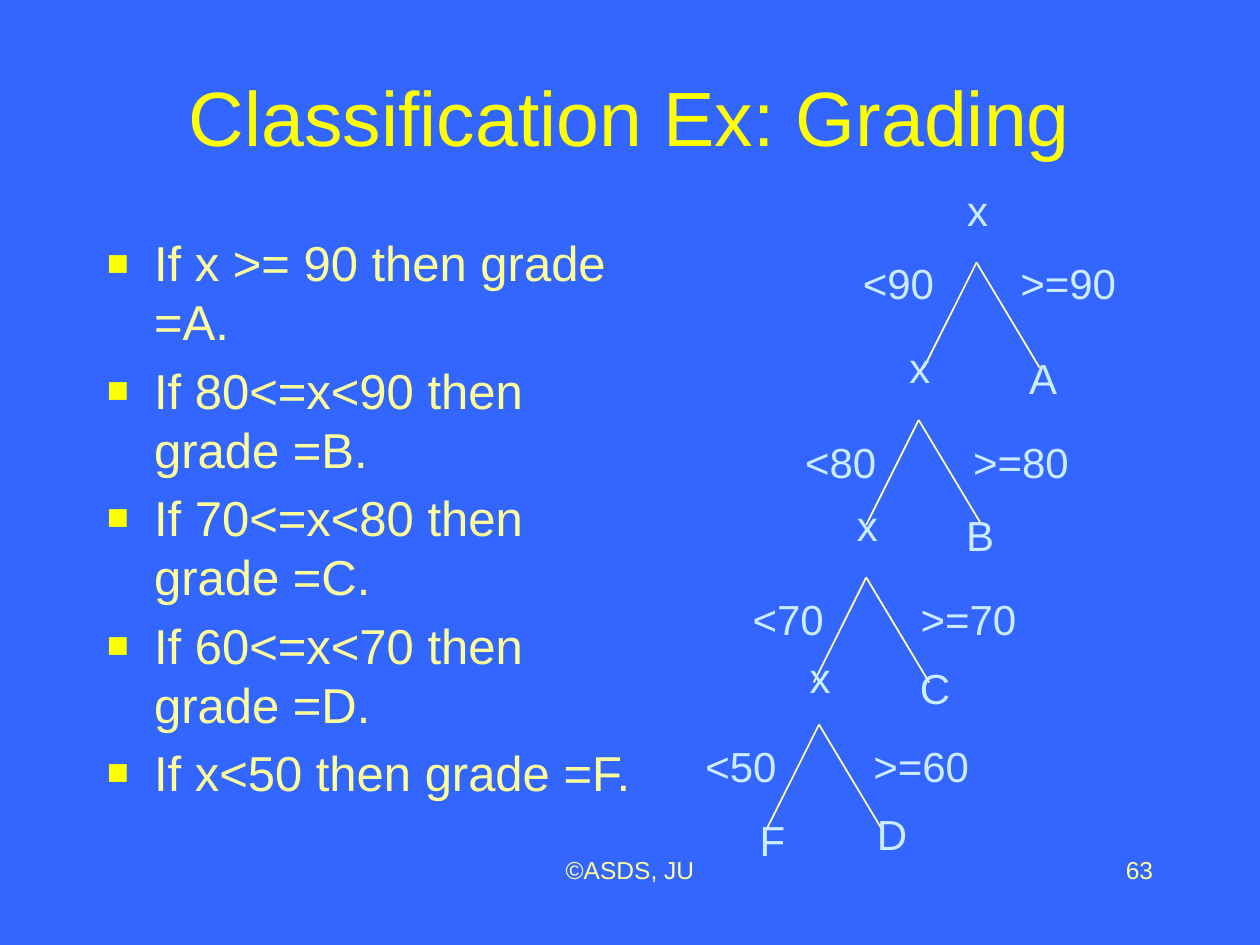
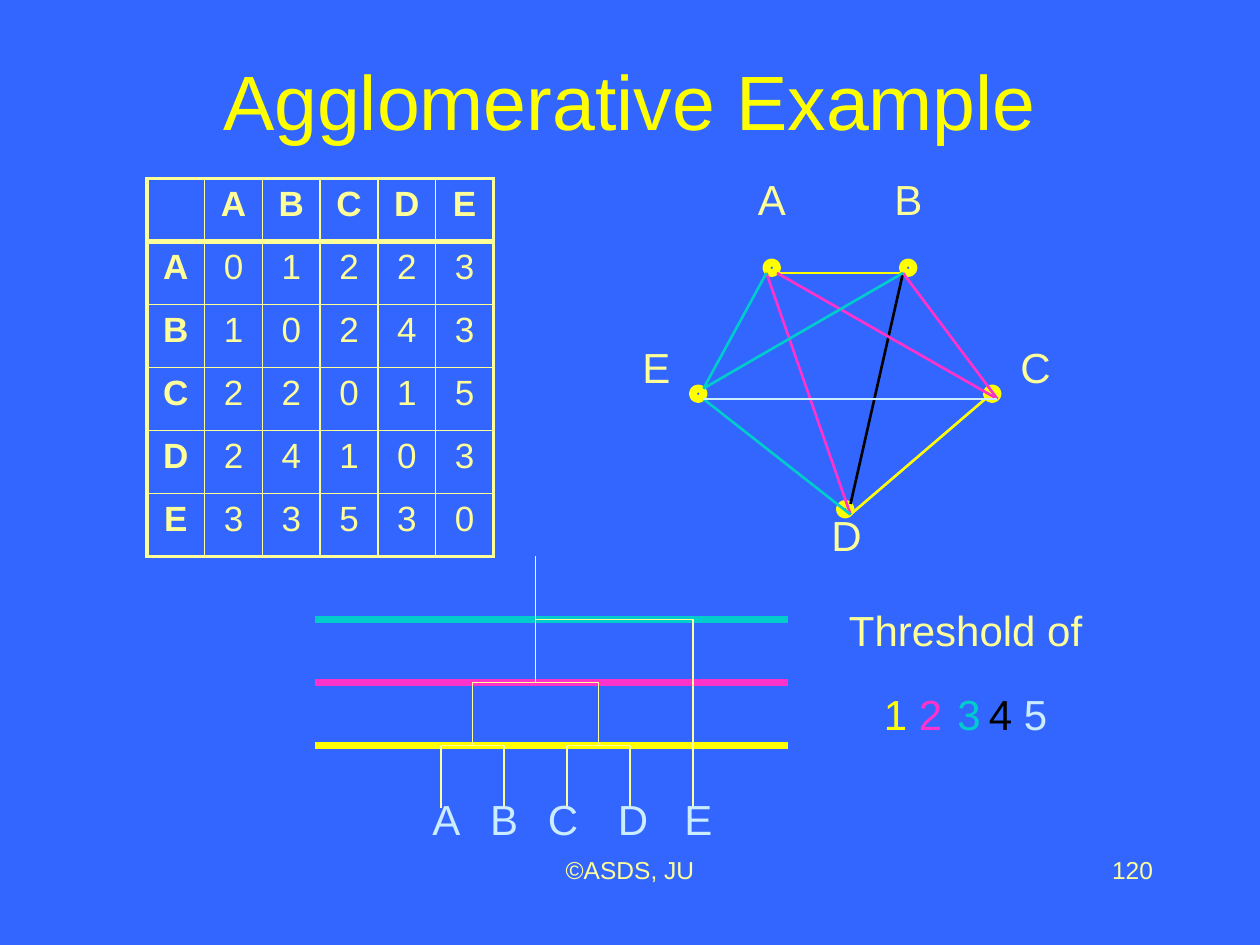
import lxml.etree
import pptx
import pptx.dml.color
import pptx.enum.shapes
import pptx.enum.text
import pptx.oxml.ns
import pptx.util

Pt = pptx.util.Pt
qn = pptx.oxml.ns.qn
ALIGN = pptx.enum.text.PP_ALIGN
ANCHOR = pptx.enum.text.MSO_ANCHOR

COLORS = {
    "background": "3366FF",
    "yellow": "FFFF00",
    "cream": "FFFF99",
    "ice": "CCECFF",
    "pink": "FF33CC",
    "teal": "00CCCC",
    "black": "000000",
}
FONT = "Arial"
TIGHT = 0.3  # line spacing of labels and footers


def rgb(color):
    return pptx.dml.color.RGBColor.from_string(COLORS[color])


def add_element(parent, tag, **attributes):
    return lxml.etree.SubElement(parent, qn(tag), attributes)


def style_paragraph(para, text, size, color, bold=False, **layout):
    for name, value in layout.items():
        setattr(para, name, value)
    span = para.add_run()
    span.text = text
    for name, value in {"name": FONT, "size": Pt(size), "bold": bold}.items():
        setattr(span.font, name, value)
    span.font.color.rgb = rgb(color)


def add_box(page, left, top, width, height, **frame_format):
    frame = page.shapes.add_textbox(Pt(left), Pt(top), Pt(width), Pt(height)).text_frame
    for name, value in {"word_wrap": True, **frame_format}.items():
        setattr(frame, name, value)
    return frame


def add_label(page, text, left, top, width=30, color="ice", size=24, height=36, **layout):
    """One tightly spaced line, set a fifth of its size lower in the box."""
    frame = add_box(page, left, top, width, height, margin_top=Pt(3.6 + size / 5),
                    word_wrap="alignment" in layout)
    style_paragraph(frame.paragraphs[0], text, size, color, line_spacing=TIGHT, **layout)


def add_line(page, start, end, color="cream", weight=1):
    line = page.shapes.add_connector(
        pptx.enum.shapes.MSO_CONNECTOR.STRAIGHT, *(Pt(value) for value in (*start, *end)))
    line.line.color.rgb = rgb(color)
    line.line.width = Pt(weight)
    add_element(line._element.spPr, "a:effectLst")


def add_dot(page, left, top):
    dot = page.shapes.add_shape(
        pptx.enum.shapes.MSO_SHAPE.OVAL, Pt(left), Pt(top), Pt(6), Pt(6))
    dot.shadow.inherit = False
    dot.fill.background()
    dot.line.color.rgb = rgb("yellow")
    dot.line.width = Pt(4.5)


def add_bullets(page, lines, left, top, width, height):
    frame = add_box(page, left, top, width, height)
    for index, text in enumerate(lines):
        para = frame.add_paragraph() if index else frame.paragraphs[0]
        properties = para._p.get_or_add_pPr()
        properties.set("marL", str(Pt(27)))
        properties.set("indent", str(-Pt(27)))
        bullet_color = add_element(properties, "a:buClr")
        add_element(bullet_color, "a:srgbClr", val=COLORS["yellow"])
        add_element(properties, "a:buSzPct", val="75000")
        add_element(properties, "a:buFont", typeface=FONT)
        add_element(properties, "a:buChar", char="■")
        style_paragraph(para, text, 28, "cream", space_before=Pt(5.6 if index else 0))


def set_borders(cell, weights):
    properties = cell._tc.get_or_add_tcPr()
    for index, (side, weight) in enumerate(weights.items()):
        border = add_element(properties, f"a:ln{side}", w=str(Pt(weight)))
        fill = add_element(border, "a:solidFill")
        add_element(fill, "a:srgbClr", val=COLORS["cream"])
        properties.insert(index, border)


def add_distance_table(page, names, distances, left, top):
    rows = [["", *names]]
    rows += [[name, *values] for name, values in zip(names, distances)]
    last = len(names)
    count = last + 1
    table = page.shapes.add_table(
        count, count, Pt(left), Pt(top), Pt(33 * count), Pt(36 * count)).table
    table.first_row = table.horz_banding = False
    for column in table.columns:
        column.width = Pt(33)
    for r, row in enumerate(rows):
        table.rows[r].height = Pt(36)
        for c, value in enumerate(row):
            cell = table.cell(r, c)
            cell.fill.background()
            set_borders(cell, {
                "L": 1 if c else 2.25,
                "R": 2.25 if c == last else 1,
                "T": {0: 2.25, 1: 3}.get(r, 1),
                "B": {0: 3, last: 2.25}.get(r, 1),
            })
            if value != "":
                style_paragraph(cell.text_frame.paragraphs[0], str(value), 20, "cream",
                                bold=r == 0 or c == 0, alignment=ALIGN.CENTER)


def add_page(deck, title, number, title_top):
    """A blank page with the shared footer, page number and title."""
    page = deck.slides.add_slide(deck.slide_layouts[6])
    footer = {"top": 492, "color": "cream", "size": 14}
    add_label(page, "©ASDS, JU", 246, width=228, alignment=ALIGN.CENTER, **footer)
    add_label(page, number, 516, width=150, alignment=ALIGN.RIGHT, **footer)
    frame = add_box(page, 54, title_top, 612, 114 - title_top, vertical_anchor=ANCHOR.MIDDLE)
    style_paragraph(frame.paragraphs[0], title, 44, "yellow", alignment=ALIGN.CENTER)
    return page


def build_grading(deck):
    page = add_page(deck, "Classification Ex: Grading", "63", 18)
    add_bullets(page, [
        "If x >= 90 then grade =A.",
        "If 80<=x<90 then grade =B.",
        "If 70<=x<80 then grade =C.",
        "If 60<=x<70 then grade =D.",
        "If x<50 then grade =F.",
    ], 54, 129.6, 330, 350.6)

    # Decision tree: apex, test labels with their offset, x height, leaf and its place
    levels = [
        ((558, 150), "<90", ">=90", (18, 6), 114, "A", (581, 210)),
        ((525, 240), "<80", ">=80", (24, 18), 204, "B", (545, 300)),
        ((495, 330), "<70", ">=70", (24, 18), 294, "C", (518.5, 387.5)),
        ((468, 414), "<50", ">=60", (24, 18), 381, "D", (494, 471)),
    ]
    for (x, y), below, above, (shift, drop), node_top, grade, place in levels:
        for run in (-30, 36):
            add_line(page, (x, y), (x + run, y + 60))
        add_label(page, above, x + shift, y + drop, 69)
        add_label(page, below, x - 72, y + drop, 55.5)
        add_label(page, "x", x - 12.5, node_top, 26.5)
        add_label(page, grade, *place)
    add_label(page, "F", 427, 474)


def build_agglomerative(deck):
    page = add_page(deck, "Agglomerative Example", "120", 0)
    add_distance_table(page, "ABCDE", [
        [0, 1, 2, 2, 3],
        [1, 0, 2, 4, 3],
        [2, 2, 0, 1, 5],
        [2, 4, 1, 0, 3],
        [3, 3, 5, 3, 0],
    ], 84, 102)

    # Graph: dots, their names, and edges coloured by distance
    for place in [(438, 150), (516, 150), (564, 222), (396, 222), (480, 288)]:
        add_dot(page, *place)
    for name, left, top in [("A", 426, 108), ("B", 504, 108), ("C", 576, 204),
                            ("D", 468, 300), ("E", 360, 204)]:
        add_label(page, name, left, top, color="cream")
    edges = {
        "black": [((516, 156), (486, 288))],
        "yellow": [((444, 156), (516, 156)), ((486, 294), (570, 222))],
        "pink": [((444, 156), (570, 228)), ((438, 156), (486, 294)),
                 ((516, 156), (570, 228))],
        "teal": [((438, 156), (402, 222)), ((516, 156), (402, 222)),
                 ((402, 228), (486, 294))],
        "ice": [((402, 228), (570, 228))],
    }
    for color, lines in edges.items():
        for start, end in lines:
            add_line(page, start, end, color, 1.5)

    # Threshold legend
    add_label(page, "Threshold of", 478, 354, 148.5, "cream")
    for digit, left, color in [("1", 498, "yellow"), ("2", 518, "pink"), ("3", 540, "teal"),
                               ("4", 558, "black"), ("5", 578, "ice")]:
        add_label(page, digit, left, 402, 28, color)

    # Dendrogram: threshold levels, then stems and joins
    one, two, three = levels = (426, 390, 354)
    for y, color in zip(levels, ("yellow", "pink", "teal")):
        add_line(page, (180, y), (450, y), color, 4.5)
    stems = [(x, one, one + 36) for x in range(252, 361, 36)]
    stems += [(270, two, one), (342, two, one), (396, three, one + 36), (306, 318, two)]
    for x, top, bottom in stems:
        add_line(page, (x, top), (x, bottom))
    for left, right, y in [(252, 288, one), (324, 360, one), (270, 342, two),
                           (306, 396, three)]:
        add_line(page, (left, y), (right, y))
    for name, left in zip("ABCDE", (240, 273, 306, 346, 384)):
        add_label(page, name, left, 462)


def main():
    deck = pptx.Presentation()
    deck.slide_width, deck.slide_height = Pt(720), Pt(540)
    background = deck.slide_master.background.fill
    background.solid()
    background.fore_color.rgb = rgb("background")
    build_grading(deck)
    build_agglomerative(deck)
    deck.save("out.pptx")


if __name__ == "__main__":
    main()
